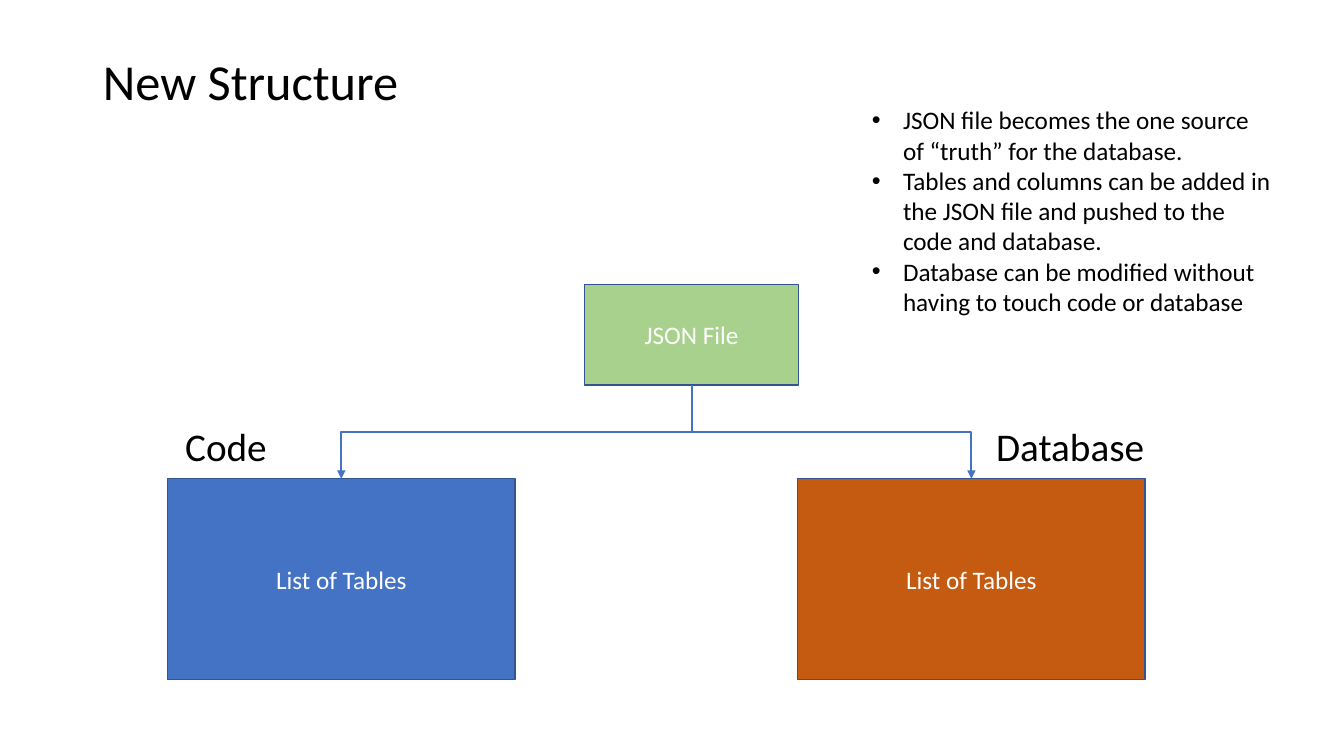
import pptx
import pptx.util
import pptx.dml.color
import pptx.enum.shapes
import pptx.enum.text
import pptx.oxml
import pptx.oxml.ns
from dataclasses import dataclass

Emu, Inches, Pt = pptx.util.Emu, pptx.util.Inches, pptx.util.Pt
Shape = pptx.enum.shapes.MSO_SHAPE
Link = pptx.enum.shapes.MSO_CONNECTOR
Align = pptx.enum.text.PP_ALIGN
Anchor = pptx.enum.text.MSO_ANCHOR
Fit = pptx.enum.text.MSO_AUTO_SIZE
COLS, ROWS = 24, 15


@dataclass(frozen=True)
class Theme:
    font: str = "Calibri"
    ink: str = "000000"
    light: str = "FFFFFF"
    edge: str = "325491"
    blue: str = "4472C4"
    rust: str = "C55A11"
    green: str = "A9D18E"
    title: int = 36
    head: int = 28
    body: int = 18


def color(code):
    return pptx.dml.color.RGBColor.from_string(code)


def node(parent, tag, **attrs):
    item = pptx.oxml.ns.qn(tag)
    child = parent.makeelement(item, attrs)
    parent.append(child)
    return child


class Board:
    def __init__(self, deck, theme):
        self.theme = theme
        self.cell = deck.slide_width / COLS, deck.slide_height / ROWS
        self.slide = deck.slides.add_slide(deck.slide_layouts[6])
        self.slide.background.fill.solid()
        self.slide.background.fill.fore_color.rgb = color(theme.light)

    def place(self, col, row, wide, high):
        x, y = self.cell
        return [Emu(round(n)) for n in (col * x, row * y, wide * x, high * y)]

    def style(self, para, size, ink):
        para.font.name = self.theme.font
        para.font.size = Pt(size)
        para.font.color.rgb = color(ink)

    def text(self, area, lines, size, wrap=True, fit=Fit.SHAPE_TO_FIT_TEXT):
        frame = self.slide.shapes.add_textbox(*self.place(*area)).text_frame
        frame.word_wrap = wrap
        frame.auto_size = fit
        frame.text = "\n".join(lines)
        for para in frame.paragraphs:
            self.style(para, size, self.theme.ink)
        return frame

    def title(self, area, words):
        frame = self.text(area, [words], self.theme.title, fit=Fit.NONE)
        frame.vertical_anchor = Anchor.MIDDLE
        frame.paragraphs[0].line_spacing = 0.9

    def list(self, area, lines):
        frame = self.text(area, lines, self.theme.body)
        step = Inches(0.31)
        for para in frame.paragraphs:
            props = para._p.get_or_add_pPr()
            props.set("marL", str(step))
            props.set("indent", str(-step))
            # Bullet elements come before the default run style
            marks = [node(props, "a:buFont", typeface="Arial"),
                     node(props, "a:buChar", char="•")]
            for spot, mark in enumerate(marks):
                props.insert(spot, mark)

    def box(self, area, words, fill):
        box = self.slide.shapes.add_shape(Shape.RECTANGLE, *self.place(*area))
        box.shadow.inherit = False
        box.fill.solid()
        box.fill.fore_color.rgb = color(fill)
        box.line.color.rgb = color(self.theme.edge)
        box.line.width = Pt(1)
        frame = box.text_frame
        frame.text = words
        frame.vertical_anchor = Anchor.MIDDLE
        para = frame.paragraphs[0]
        para.alignment = Align.CENTER
        self.style(para, self.theme.body, self.theme.light)
        return box

    def arrow(self, start, end):
        x1, y1 = start.left + start.width // 2, start.top + start.height
        x2, y2 = end.left + end.width // 2, end.top
        line = self.slide.shapes.add_connector(Link.ELBOW, x1, y1, x2, y2)
        line.begin_connect(start, 2)
        line.end_connect(end, 0)
        # Turn the elbow so that it leaves and arrives vertically
        drop, run = y2 - y1, abs(x2 - x1)
        line.left = Emu((x1 + x2 - drop) // 2)
        line.top = Emu((y1 + y2 - run) // 2)
        line.width, line.height = Emu(drop), Emu(run)
        right = x2 > x1
        props = line._element.spPr
        turn = props.find(pptx.oxml.ns.qn("a:xfrm"))
        turn.set("rot", str((270 if right else 90) * 60000))
        turn.set("flipH", "1" if right else "0")
        turn.set("flipV", "0")
        line.line.color.rgb = color(self.theme.blue)
        line.line.width = Pt(1.5)
        node(line.line._get_or_add_ln(), "a:tailEnd", type="triangle")
        node(props, "a:effectLst")


def main():
    deck = pptx.Presentation()
    deck.slide_width, deck.slide_height = Inches(13.33), Inches(7.5)
    theme = Theme()
    board = Board(deck, theme)

    # Title
    board.title((1.66, 0.8, 20.7, 1.74), "New Structure")

    # Source file and its two targets
    source = board.box((10.44, 5.64, 3.82, 2), "JSON File", theme.green)
    for col, fill in ((2.99, theme.blue), (14.24, theme.rust)):
        target = board.box((col, 9.5, 6.21, 3.98), "List of Tables", fill)
        board.arrow(source, target)

    # Target headings
    for col, wide, words in ((3.13, 1.84, "Code"), (17.61, 3.04, "Database")):
        board.text((col, 8.28, wide, 1.14), [words], theme.head, wrap=False)

    # Benefits
    board.list((15.39, 1.98, 7.49, 4.44), [
        "JSON file becomes the one source of “truth” for the database.",
        "Tables and columns can be added in the JSON file and pushed to the "
        "code and database.",
        "Database can be modified without having to touch code or database",
    ])
    deck.save("out.pptx")


if __name__ == "__main__":
    main()
